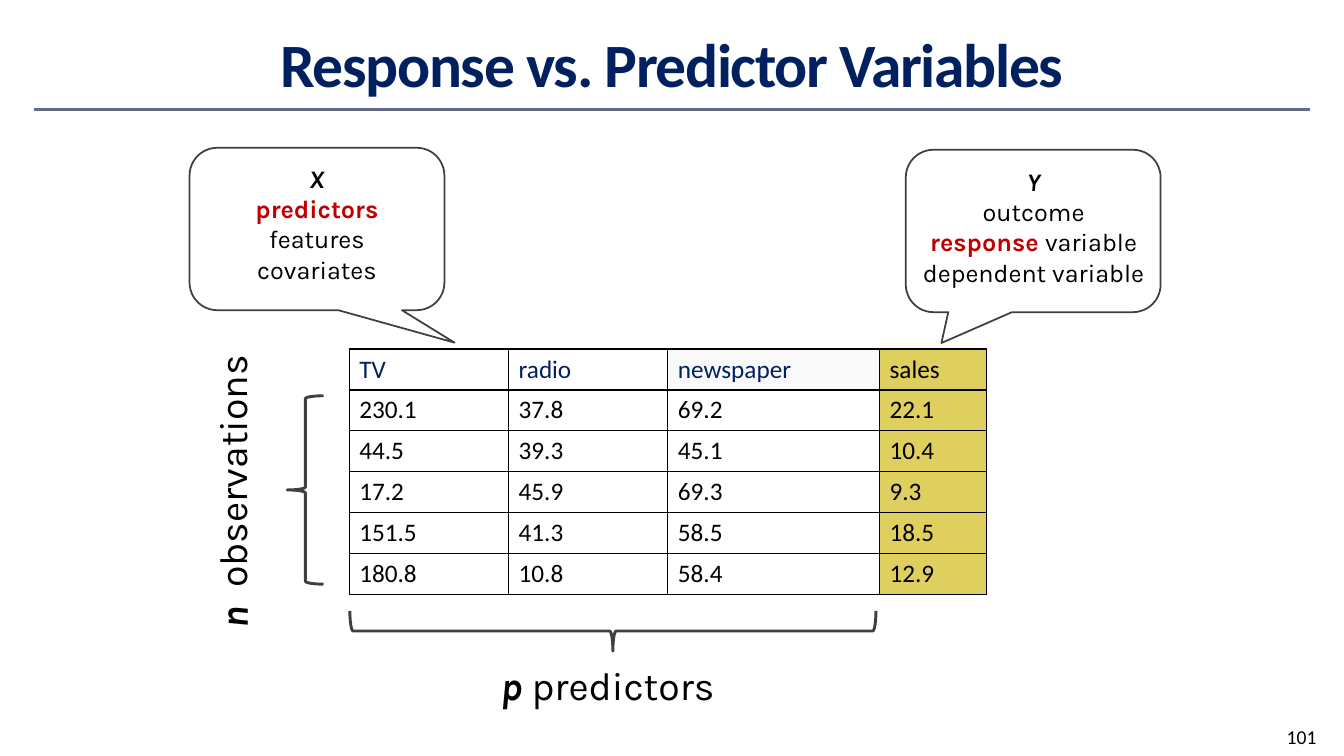
import pptx
import pptx.dml.color
import pptx.enum.shapes
import pptx.enum.text
import pptx.oxml
import pptx.oxml.ns
import pptx.util
from lxml import etree

Pt = pptx.util.Pt
SHAPES = pptx.enum.shapes.MSO_SHAPE
ALIGN = pptx.enum.text.PP_ALIGN
COLORS = {
    "navy": "002060",
    "black": "000000",
    "red": "C00000",
    "outline": "3F3F3F",
    "rule": "646B86",
    "pale": "F9F9F9",
    "gold": "CCB400",
}
TABLE_ROWS = [
    ("TV", "radio", "newspaper", "sales"),
    ("230.1", "37.8", "69.2", "22.1"),
    ("44.5", "39.3", "45.1", "10.4"),
    ("17.2", "45.9", "69.3", "9.3"),
    ("151.5", "41.3", "58.5", "18.5"),
    ("180.8", "10.8", "58.4", "12.9"),
]
COLUMN_WIDTHS = (113.8, 113.8, 151.2, 76.3)
ROW_HEIGHT = 29.17


def rgb(name):
    return pptx.dml.color.RGBColor.from_string(COLORS[name])


def add_run(paragraph, text, size, font="Karla", color="black", bold=False, italic=False):
    run = paragraph.add_run()
    run.text = text
    run.font.name = font
    run.font.size = Pt(size)
    run.font.bold = bold
    run.font.italic = italic
    run.font.color.rgb = rgb(color)
    return run


def add_title(slide, text):
    title = slide.shapes.title
    title.left, title.top, title.width, title.height = Pt(48), Pt(12), Pt(864), Pt(66)
    frame = title.text_frame
    frame.auto_size = pptx.enum.text.MSO_AUTO_SIZE.NONE
    frame.vertical_anchor = pptx.enum.text.MSO_ANCHOR.MIDDLE
    paragraph = frame.paragraphs[0]
    paragraph.alignment = ALIGN.CENTER
    run = add_run(paragraph, text, 44, "Calibri", "navy", bold=True)
    run.font._element.set("spc", "-100")


def add_rule(slide, left, right, top):
    rule = slide.shapes.add_connector(
        pptx.enum.shapes.MSO_CONNECTOR.STRAIGHT, Pt(left), Pt(top), Pt(right), Pt(top))
    rule.line.color.rgb = rgb("rule")
    rule.line.width = Pt(1.5)
    etree.SubElement(rule._element.spPr, pptx.oxml.ns.qn("a:effectLst"))


def add_text(slide, left, top, width, height, paragraphs, alignment=ALIGN.LEFT, rotation=0):
    box = slide.shapes.add_textbox(Pt(left), Pt(top), Pt(width), Pt(height))
    box.rotation = rotation
    frame = box.text_frame
    frame.word_wrap = True
    for index, runs in enumerate(paragraphs):
        paragraph = frame.paragraphs[0] if index == 0 else frame.add_paragraph()
        paragraph.alignment = alignment
        for text, style in runs:
            add_run(paragraph, text, **style)


def add_outline(slide, preset, left, top, width, height, adjustments, weight, rotation=0):
    shape = slide.shapes.add_shape(preset, Pt(left), Pt(top), Pt(width), Pt(height))
    shape.shadow.inherit = False
    shape.rotation = rotation
    shape.fill.background()
    shape.line.color.rgb = rgb("outline")
    shape.line.width = Pt(weight)
    for index, value in enumerate(adjustments):
        shape.adjustments[index] = value


def add_callout(slide, left, top, tail, text_left, text_top, text_width, paragraphs):
    add_outline(slide, SHAPES.ROUNDED_RECTANGULAR_CALLOUT,
                left, top, 182, 116, (*tail, 0.17), 1.25)
    add_text(slide, text_left, text_top, text_width, 116.6, paragraphs, ALIGN.CENTER)


def add_brace(slide, left, top, width, height, rotation=0):
    add_outline(slide, SHAPES.LEFT_BRACE, left, top, width, height, (0.08, 0.5), 2.08, rotation)


def add_borders(cell):
    properties = cell._tc.get_or_add_tcPr()
    for index, side in enumerate(("lnL", "lnR", "lnT", "lnB")):
        border = pptx.oxml.parse_xml(
            f'<a:{side} {pptx.oxml.ns.nsdecls("a")} w="{Pt(1)}"><a:solidFill>'
            f'<a:srgbClr val="{COLORS["black"]}"/></a:solidFill></a:{side}>')
        properties.insert(index, border)


def fill_cell(cell, color, opacity=100):
    cell.fill.solid()
    cell.fill.fore_color.rgb = rgb(color)
    if opacity < 100:
        value = cell._tc.tcPr.find(".//" + pptx.oxml.ns.qn("a:srgbClr"))
        etree.SubElement(value, pptx.oxml.ns.qn("a:alpha"), val=str(opacity * 1000))


def add_data_table(slide, left, top):
    table = slide.shapes.add_table(
        len(TABLE_ROWS), len(COLUMN_WIDTHS), Pt(left), Pt(top),
        Pt(sum(COLUMN_WIDTHS)), Pt(ROW_HEIGHT * len(TABLE_ROWS))).table
    table.first_row = False
    table.horz_banding = False
    for column, width in zip(table.columns, COLUMN_WIDTHS):
        column.width = Pt(width)
    for row_index, values in enumerate(TABLE_ROWS):
        table.rows[row_index].height = Pt(ROW_HEIGHT)
        for column_index, value in enumerate(values):
            cell = table.cell(row_index, column_index)
            is_response = column_index == len(values) - 1
            is_header = row_index == 0
            if is_response:
                fill_cell(cell, "gold", 63)
            elif is_header and value == "newspaper":
                fill_cell(cell, "pale")
            else:
                cell.fill.background()
            add_borders(cell)
            color = "navy" if is_header and not is_response else "black"
            add_run(cell.text_frame.paragraphs[0], value, 18, "Calibri", color)


def main():
    presentation = pptx.Presentation()
    presentation.slide_width = Pt(960)
    presentation.slide_height = Pt(540)
    slide = presentation.slides.add_slide(presentation.slide_layouts[5])

    plain = {"size": 18}
    keyword = {"size": 18, "color": "red", "bold": True}
    symbol = {"size": 18, "bold": True, "italic": True}
    label = {"size": 28}
    label_symbol = {"size": 28, "bold": True, "italic": True}

    add_rule(slide, 24, 936, 78.2)
    add_title(slide, "Response vs. Predictor Variables")
    add_data_table(slide, 249.5, 249.3)
    add_text(slide, 912, 514, 48, 26, [[("101", {"size": 14, "font": "Calibri"})]])
    add_callout(slide, 647, 107, (-0.36, 0.69), 649, 115.2, 178.6, [
        [("Y", symbol)],
        [("outcome", plain)],
        [("response ", keyword), ("variable", plain)],
        [("dependent variable", plain)],
    ])
    add_callout(slide, 135.4, 105.6, (0.54, 0.7), 174.2, 113, 104.4, [
        [("X", symbol)],
        [("predictors", keyword)],
        [("features", plain)],
        [("covariates", plain)],
    ])
    add_brace(slide, 423.4, 262.8, 28.8, 375.8, 270)
    add_text(slide, 350.6, 468.7, 170, 41, [[("p", label_symbol), (" predictors", label)]])
    add_brace(slide, 205.2, 282.7, 25.9, 134.6)
    add_text(slide, 59.8, 329, 212.4, 41,
             [[("n", label_symbol), ("  observations", label)]], rotation=270)

    presentation.save("out.pptx")


if __name__ == "__main__":
    main()
